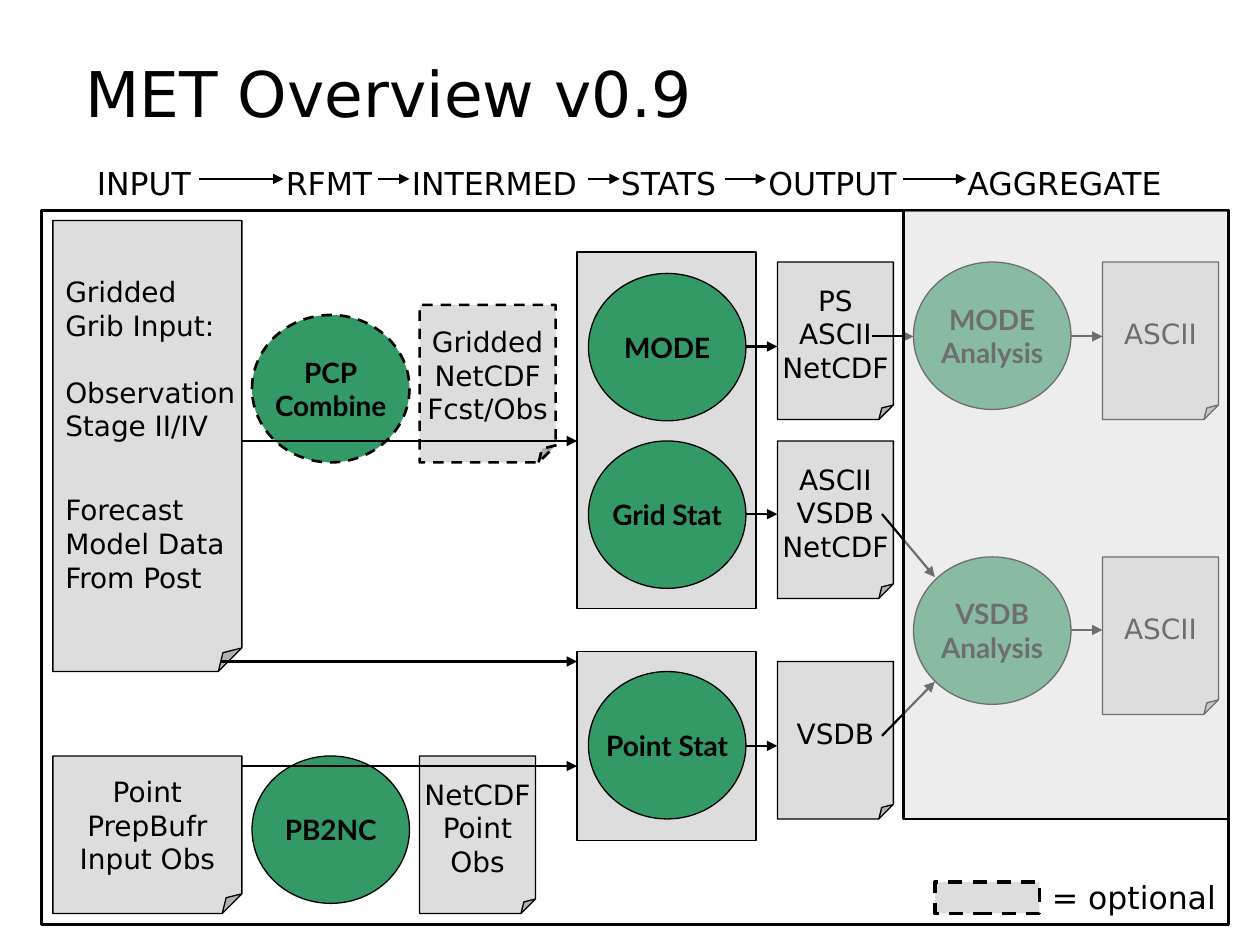
from pptx import Presentation
from pptx.dml.color import RGBColor
from pptx.enum import dml, shapes, text
from pptx.oxml.ns import qn
from pptx.util import Inches, Pt
from lxml import etree

theme = {
    "ink": RGBColor.from_string("000000"),
    "panel": RGBColor.from_string("DDDDDD"),
    "tool": RGBColor.from_string("339966"),
    "font": "DejaVu Sans", "tool_font": "Lato",
    "title": 36, "label": 18, "body": 16,
    "thin": 0.74, "arrow": 1.25, "bold": 1.5, "key": 1.98,
}
RECT = shapes.MSO_SHAPE.RECTANGLE
OVAL = shapes.MSO_SHAPE.OVAL
DOC = shapes.MSO_SHAPE.FOLDED_CORNER
LEFT, CENTER = text.PP_ALIGN.LEFT, text.PP_ALIGN.CENTER

deck = Presentation()
deck.slide_width, deck.slide_height = Inches(10), Inches(7.5)
page = deck.slides.add_slide(deck.slide_layouts[6])


def write(box, lines, size, align=LEFT, font=theme["font"], gaps={}):
    """Fill a box with one paragraph per line; gaps maps line index to space before."""
    frame = box.text_frame
    for index, line in enumerate(lines):
        para = frame.paragraphs[0] if index == 0 else frame.add_paragraph()
        para.alignment = align
        if index in gaps:
            para.space_before = Pt(gaps[index])
        span = para.add_run()
        span.text = line
        span.font.name, span.font.size = font, Pt(size)
        span.font.bold = font == theme["tool_font"]
        span.font.color.rgb = theme["ink"]


def add_box(kind, left, top, width, height, fill=theme["panel"],
            weight=theme["thin"], dashed=False):
    box = page.shapes.add_shape(kind, Inches(left), Inches(top), Inches(width), Inches(height))
    box.shadow.inherit = False
    if fill is None:
        box.fill.background()
    else:
        box.fill.solid()
        box.fill.fore_color.rgb = fill
    box.line.color.rgb = theme["ink"]
    box.line.width = Pt(weight)
    if dashed:
        box.line.dash_style = dml.MSO_LINE.DASH
    if kind == DOC:
        guides = box._element.spPr.find(qn("a:prstGeom")).find(qn("a:avLst"))
        etree.SubElement(guides, qn("a:gd"), name="adj", fmla="val 12500")
    box.text_frame.word_wrap = False
    box.text_frame.vertical_anchor = text.MSO_ANCHOR.MIDDLE
    return box


# Outer frame, statistics panels and the key for optional steps
add_box(RECT, 0.33, 1.67, 9.42, 5.67, fill=None, weight=theme["bold"])
add_box(RECT, 4.58, 2, 1.42, 2.83)
add_box(RECT, 4.58, 5.17, 1.42, 1.5)
add_box(RECT, 7.42, 7, 0.83, 0.25, weight=theme["key"], dashed=True)

# Title, column headings and key text
labels = [
    ("MET Overview v0.9", 0.58, 0.16, 8.75, 0.92, theme["title"]),
    ("= optional", 8.25, 6.92, 1.5, 0.4, theme["label"]),
]
headings = [("INPUT", 0.67, 1), ("RFMT", 2.17, 0.92), ("INTERMED", 3.17, 1.58),
            ("STATS", 4.83, 1.08), ("OUTPUT", 6, 1.25), ("AGGREGATE", 7.58, 2)]
labels += [(name, left, 1.25, width, 0.4, theme["label"]) for name, left, width in headings]
for name, left, top, width, height, size in labels:
    box = page.shapes.add_textbox(Inches(left), Inches(top), Inches(width), Inches(height))
    box.text_frame.word_wrap = True
    if size == theme["title"]:
        box.text_frame.vertical_anchor = text.MSO_ANCHOR.BOTTOM
    write(box, [name], size)

# Gridded input document, three groups of lines
grid_input = add_box(DOC, 0.42, 1.75, 1.5, 3.58)
write(grid_input, ["Gridded", "Grib Input:", "Observation", "Stage II/IV",
                   "Forecast", "Model Data", "From Post"],
      theme["body"], gaps={2: 19, 4: 29})

# Data documents
documents = [
    (0.42, 6, 1.5, ["Point", "PrepBufr", "Input Obs"]),
    (3.33, 2.42, 1.08, ["Gridded", "NetCDF", "Fcst/Obs"]),
    (3.33, 6, 0.92, ["NetCDF", "Point", "Obs"]),
    (6.17, 2.08, 0.92, ["PS", "ASCII", "NetCDF"]),
    (6.17, 3.5, 0.92, ["ASCII", "VSDB", "NetCDF"]),
    (6.17, 5.25, 0.92, ["VSDB"]),
    (8.75, 2.08, 0.92, ["ASCII"]),
    (8.75, 4.42, 0.92, ["ASCII"]),
]
for left, top, width, lines in documents:
    optional = lines[0] == "Gridded"
    box = add_box(DOC, left, top, width, 1.25, dashed=optional,
                  weight=theme["bold"] if optional else theme["thin"])
    write(box, lines, theme["body"], CENTER)

# Tools
tools = [
    (2, 2.5, ["PCP", "Combine"]), (2, 6, ["PB2NC"]),
    (4.67, 2.17, ["MODE"]), (4.67, 3.5, ["Grid Stat"]), (4.67, 5.33, ["Point Stat"]),
    (7.25, 2.08, ["MODE", "Analysis"]), (7.25, 4.42, ["VSDB", "Analysis"]),
]
for left, top, lines in tools:
    optional = lines[0] == "PCP"
    box = add_box(OVAL, left, top, 1.25, 1.17, theme["tool"], dashed=optional,
                  weight=theme["bold"] if optional else theme["thin"])
    write(box, lines, theme["body"], CENTER, theme["tool_font"])

# Arrows: level ones as (start, end, height), then the two slanted ones
level = [(5.92, 6.17, 2.75), (5.92, 6.17, 4.08), (5.92, 6.17, 5.92),
         (1.92, 4.58, 3.5), (1.75, 4.58, 5.25), (1.92, 4.58, 6.08),
         (6.92, 7.25, 2.67), (8.5, 8.75, 2.67), (8.5, 8.75, 5)]
level += [(start, end, 1.42) for start, end in
          [(1.58, 2.25), (3, 3.25), (4.67, 4.92), (5.75, 6.08), (7.17, 7.67)]]
arrows = [(start, y, end, y) for start, end, y in level]
arrows += [(7, 4.08, 7.42, 4.58), (7, 5.84, 7.42, 5.41)]
for ends in arrows:
    arrow = page.shapes.add_connector(shapes.MSO_CONNECTOR.STRAIGHT, *map(Inches, ends))
    arrow.line.color.rgb = theme["ink"]
    arrow.line.width = Pt(theme["arrow"])
    outline = arrow._element.spPr.find(qn("a:ln"))
    etree.SubElement(outline, qn("a:tailEnd"), type="triangle")
    etree.SubElement(arrow._element.spPr, qn("a:effectLst"))

# Half-transparent veil over the aggregate column
veil = add_box(RECT, 7.17, 1.67, 2.58, 4.83, weight=theme["arrow"])
veil_color = veil._element.spPr.find(qn("a:solidFill")).find(qn("a:srgbClr"))
etree.SubElement(veil_color, qn("a:alpha"), val="50000")

deck.save("out.pptx")
